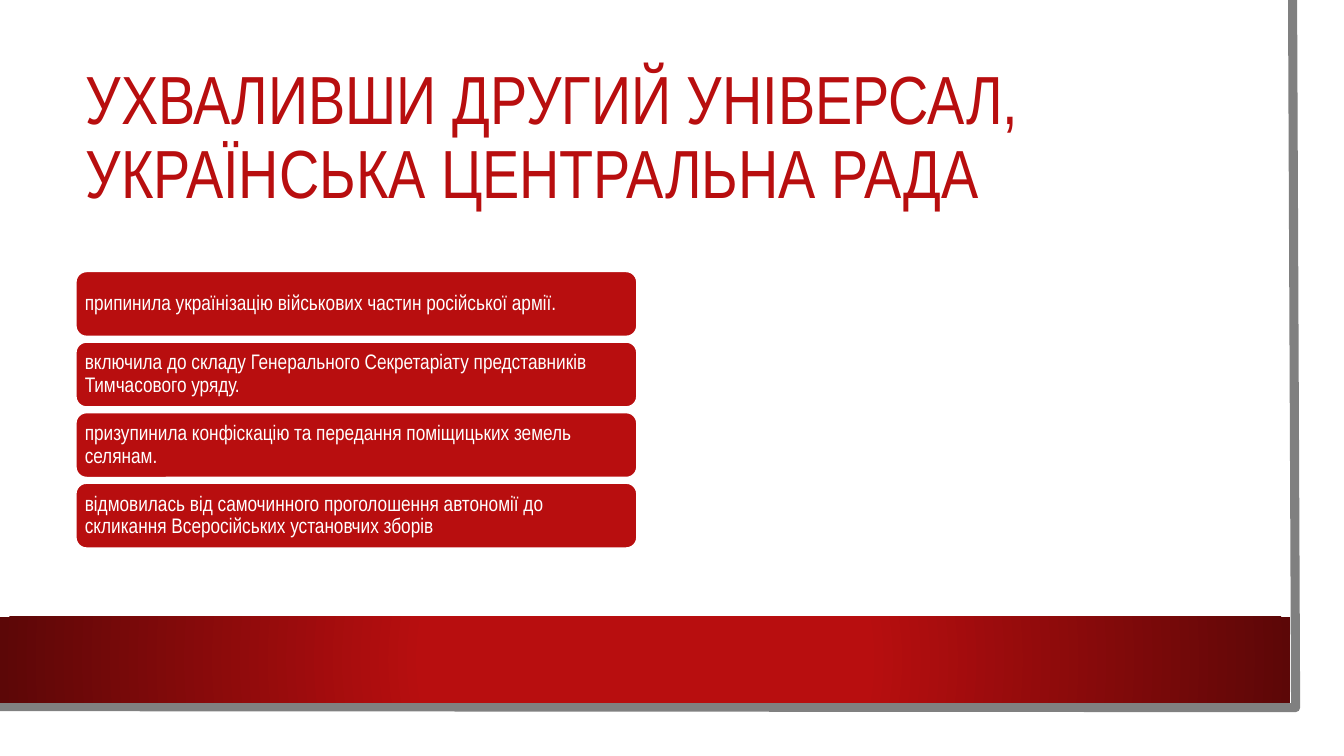
from dataclasses import dataclass

from lxml.etree import SubElement
from pptx import Presentation
from pptx.dml.color import RGBColor
from pptx.enum.shapes import MSO_SHAPE
from pptx.enum.text import MSO_ANCHOR, MSO_AUTO_SIZE, PP_ALIGN
from pptx.oxml.ns import qn
from pptx.shapes.autoshape import Shape
from pptx.slide import Slide
from pptx.util import Inches, Pt


@dataclass(frozen=True)
class Theme:
    font: str = "Arial Narrow"
    red: RGBColor = RGBColor(0xB8, 0x0E, 0x0F)
    dark_red: RGBColor = RGBColor(0x5C, 0x07, 0x07)
    gray: RGBColor = RGBColor(0x80, 0x80, 0x80)
    white: RGBColor = RGBColor(0xFF, 0xFF, 0xFF)
    title_size: float = 48.6
    body_size: float = 15


@dataclass(frozen=True)
class Box:
    left: float
    top: float
    width: float
    height: float


@dataclass(frozen=True)
class Decision:
    text: str
    box: Box


THEME = Theme()
TITLE = "УХВАЛИВШИ ДРУГИЙ УНІВЕРСАЛ, УКРАЇНСЬКА ЦЕНТРАЛЬНА РАДА"
DECISION_TEXTS = (
    "припинила українізацію військових частин російської армії.",
    "включила до складу Генерального Секретаріату представників Тимчасового уряду.",
    "призупинила конфіскацію та передання поміщицьких земель селянам.",
    "відмовилась від самочинного проголошення автономії до скликання Всеросійських установчих зборів",
)
DECISION_PITCH = 0.7
DECISIONS = [
    Decision(text, Box(0.75, 2.69 + row * DECISION_PITCH, 5.57, 0.65))
    for row, text in enumerate(DECISION_TEXTS)
]


def write_text(shape: Shape, text: str, *, size: float, color: RGBColor,
               margin_x: float, margin_y: float) -> None:
    frame = shape.text_frame
    frame.word_wrap = True
    frame.auto_size = MSO_AUTO_SIZE.NONE
    frame.vertical_anchor = MSO_ANCHOR.MIDDLE
    frame.margin_left = frame.margin_right = Inches(margin_x)
    frame.margin_top = frame.margin_bottom = Inches(margin_y)
    paragraph = frame.paragraphs[0]
    paragraph.alignment = PP_ALIGN.LEFT
    paragraph.line_spacing = 0.9
    run = paragraph.add_run()
    run.text = text
    run.font.name = THEME.font
    run.font.size = Pt(size)
    run.font.color.rgb = color


def add_box(slide: Slide, kind: MSO_SHAPE, box: Box) -> Shape:
    shape = slide.shapes.add_shape(
        kind, Inches(box.left), Inches(box.top), Inches(box.width), Inches(box.height))
    shape.shadow.inherit = False
    shape.line.fill.background()
    return shape


def add_frame_edge(slide: Slide) -> None:
    builder = slide.shapes.build_freeform(Inches(12.82), 0)
    corners = [(12.85, 7.02), (-0.03, 7.01)]
    builder.add_line_segments([(Inches(x), Inches(y)) for x, y in corners], close=False)
    edge = builder.convert_to_shape()
    edge.shadow.inherit = False
    edge.fill.background()
    edge.line.color.rgb = THEME.gray
    edge.line.width = Pt(6.5)


def add_red_band(slide: Slide) -> None:
    band = add_box(slide, MSO_SHAPE.RECTANGLE, Box(0, 6.12, 12.8, 0.85))
    band.fill.gradient()
    stops = ((0.34, THEME.red), (1, THEME.dark_red))
    for stop, (position, color) in zip(band.fill.gradient_stops, stops):
        stop.position = position
        stop.color.rgb = color
    gradient = band.element.spPr.find(qn("a:gradFill"))
    gradient.remove(gradient.find(qn("a:lin")))
    circle = SubElement(gradient, qn("a:path"), {"path": "circle"})
    SubElement(circle, qn("a:fillToRect"), {side: "50000" for side in "ltrb"})


def add_title(slide: Slide) -> None:
    title = slide.shapes.title
    title.left, title.top = Inches(0.75), Inches(0.75)
    title.width, title.height = Inches(11.37), Inches(1.27)
    write_text(title, TITLE, size=THEME.title_size, color=THEME.red,
               margin_x=0.1, margin_y=0.05)


def add_decision(slide: Slide, decision: Decision) -> None:
    shape = add_box(slide, MSO_SHAPE.ROUNDED_RECTANGLE, decision.box)
    shape.fill.solid()
    shape.fill.fore_color.rgb = THEME.red
    shape.line.color.rgb = THEME.white
    shape.line.width = Pt(1.5)
    write_text(shape, decision.text, size=THEME.body_size, color=THEME.white,
               margin_x=0.06, margin_y=0.06)


def main() -> None:
    presentation = Presentation()
    presentation.slide_width = Inches(13.33)
    presentation.slide_height = Inches(7.5)
    slide = presentation.slides.add_slide(presentation.slide_layouts[5])
    add_frame_edge(slide)
    add_red_band(slide)
    add_title(slide)
    for decision in DECISIONS:
        add_decision(slide, decision)
    presentation.save("out.pptx")


if __name__ == "__main__":
    main()
